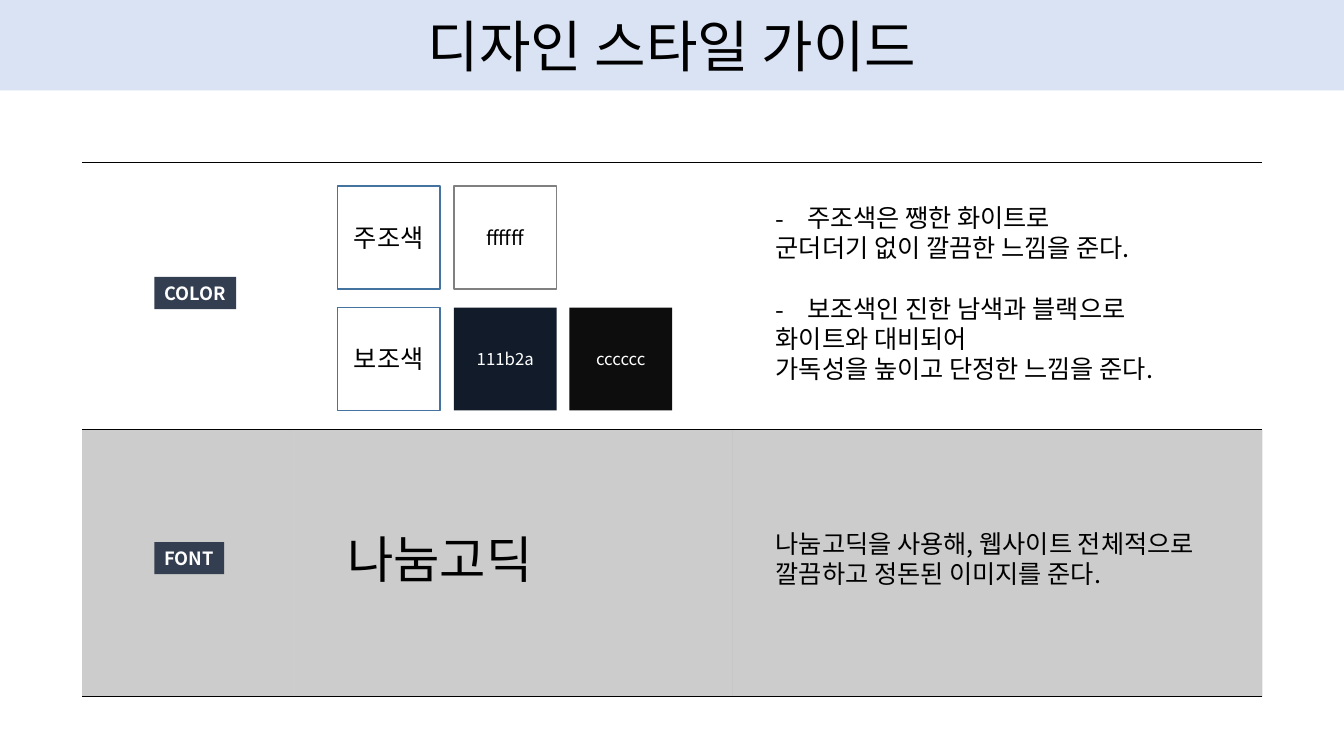
from lxml.etree import SubElement
from pptx import Presentation
from pptx.dml.color import RGBColor
from pptx.enum.shapes import MSO_SHAPE
from pptx.enum.text import MSO_ANCHOR, MSO_AUTO_SIZE, PP_ALIGN
from pptx.oxml import parse_xml
from pptx.oxml.ns import nsdecls, qn
from pptx.util import Cm, Pt

FONT = "Noto Sans CJK KR"
COLORS = {
    "black": "000000",
    "white": "FFFFFF",
    "band": "DAE3F3",
    "label": "333F50",
    "outline": "43739E",
    "gray": "808080",
    "navy": "111B2A",
    "ink": "0D0D0D",
}


def style_text(frame, size, color="black", bold=False, align=PP_ALIGN.LEFT):
    for para in frame.paragraphs:
        para.alignment = align
        for span in para.runs:
            span.font.size = Pt(size)
            span.font.bold = bold
            span.font.color.rgb = RGBColor.from_string(COLORS[color])
            span.font.name = FONT
            SubElement(span.font._element, qn("a:ea"), typeface=FONT)


def add_box(left, top, width, height, text, fill, line):
    box = page.shapes.add_shape(
        MSO_SHAPE.RECTANGLE, Cm(left), Cm(top), Cm(width), Cm(height))
    box.shadow.inherit = False
    if fill:
        box.fill.solid()
        box.fill.fore_color.rgb = RGBColor.from_string(COLORS[fill])
    else:
        box.fill.background()
    if line:
        box.line.color.rgb = RGBColor.from_string(COLORS[line])
        box.line.width = Pt(1)
    else:
        box.line.fill.background()
    box.text_frame.text = text
    box.text_frame.vertical_anchor = MSO_ANCHOR.MIDDLE
    return box


deck = Presentation()
deck.slide_width, deck.slide_height = Cm(33.87), Cm(19.05)
page = deck.slides.add_slide(deck.slide_layouts[5])

title = page.shapes.title
title.left, title.top, title.width, title.height = Cm(0), Cm(0), Cm(33.87), Cm(2.28)
title.fill.solid()
title.fill.fore_color.rgb = RGBColor.from_string(COLORS["band"])
title.text_frame.text = "디자인 스타일 가이드"
title.text_frame.auto_size = MSO_AUTO_SIZE.NONE
title.text_frame.vertical_anchor = MSO_ANCHOR.MIDDLE
style_text(title.text_frame, 40, align=PP_ALIGN.CENTER)

table_frame = page.shapes.add_table(2, 3, Cm(2.07), Cm(4.1), Cm(29.74), Cm(13.46))
table = table_frame.table
table.first_row = table.horz_banding = False
table._tbl.tblPr.find(qn("a:tableStyleId")).text = "{2D5ABB26-0587-4C30-8999-92F81FD0307C}"
for column, width in zip(table.columns, (5.33, 11.05, 13.36)):
    column.width = Cm(width)
for index, row in enumerate(table.rows):
    row.height = Cm(6.73)
    for cell in row.cells:
        if index == 0:
            cell.fill.background()
        else:
            cell.fill.solid()
            cell.fill.fore_color.rgb = RGBColor.from_string(COLORS["black"])
            tint = cell._tc.tcPr.find(".//" + qn("a:srgbClr"))
            SubElement(tint, qn("a:alpha"), val="20000")
        for position, side in enumerate(("lnT", "lnB")):
            cell._tc.tcPr.insert(position, parse_xml(
                f'<a:{side} {nsdecls("a")} w="12700"><a:solidFill>'
                f'<a:srgbClr val="{COLORS["black"]}"/></a:solidFill></a:{side}>'))

swatches = [
    (8.5, 4.69, "주조색", 18, None, "outline", "black"),
    (8.5, 7.75, "보조색", 18, None, "outline", "black"),
    (11.44, 4.69, "ffffff", 14, "white", "gray", "black"),
    (11.44, 7.75, "111b2a", 12, "navy", None, "white"),
    (14.35, 7.75, "cccccc", 12, "ink", None, "white"),
]
for left, top, text, size, fill, line, color in swatches:
    swatch = add_box(left, top, 2.59, 2.59, text, fill, line)
    style_text(swatch.text_frame, size, color, align=PP_ALIGN.CENTER)

for text, top, width in (("COLOR", 6.98, 2.06), ("FONT", 13.66, 1.76)):
    label = add_box(3.89, top, width, 0.81, text, "label", None)
    label.text_frame.word_wrap = False
    label.text_frame.auto_size = MSO_AUTO_SIZE.SHAPE_TO_FIT_TEXT
    style_text(label.text_frame, 13, "white", bold=True)

notes = [
    (8.5, 13.18, 5.64, 1.8, 36, ["나눔고딕"]),
    (19.3, 13.18, 11.68, 1.8, 18,
     ["나눔고딕을 사용해, 웹사이트 전체적으로", "깔끔하고 정돈된 이미지를 준다."]),
    (19.3, 4.98, 11.68, 4.88, 18,
     ["- 주조색은 쨍한 화이트로", "군더더기 없이 깔끔한 느낌을 준다.",
      "- 보조색인 진한 남색과 블랙으로", "화이트와 대비되어",
      "가독성을 높이고 단정한 느낌을 준다."]),
]
for left, top, width, height, size, lines in notes:
    box = page.shapes.add_textbox(Cm(left), Cm(top), Cm(width), Cm(height))
    frame = box.text_frame
    frame.word_wrap = True
    frame.auto_size = MSO_AUTO_SIZE.SHAPE_TO_FIT_TEXT
    for index, line in enumerate(lines):
        para = frame.add_paragraph() if index else frame.paragraphs[0]
        para.text = line.removeprefix("- ")
        if line.startswith("- "):
            properties = para._p.get_or_add_pPr()
            properties.set("marL", str(Cm(0.79)))
            properties.set("indent", str(-Cm(0.79)))
            SubElement(properties, qn("a:buFont"), typeface=FONT)
            SubElement(properties, qn("a:buChar"), char="-")
            if index:
                para.space_before = Pt(21.6)
    style_text(frame, size)

deck.save("out.pptx")
